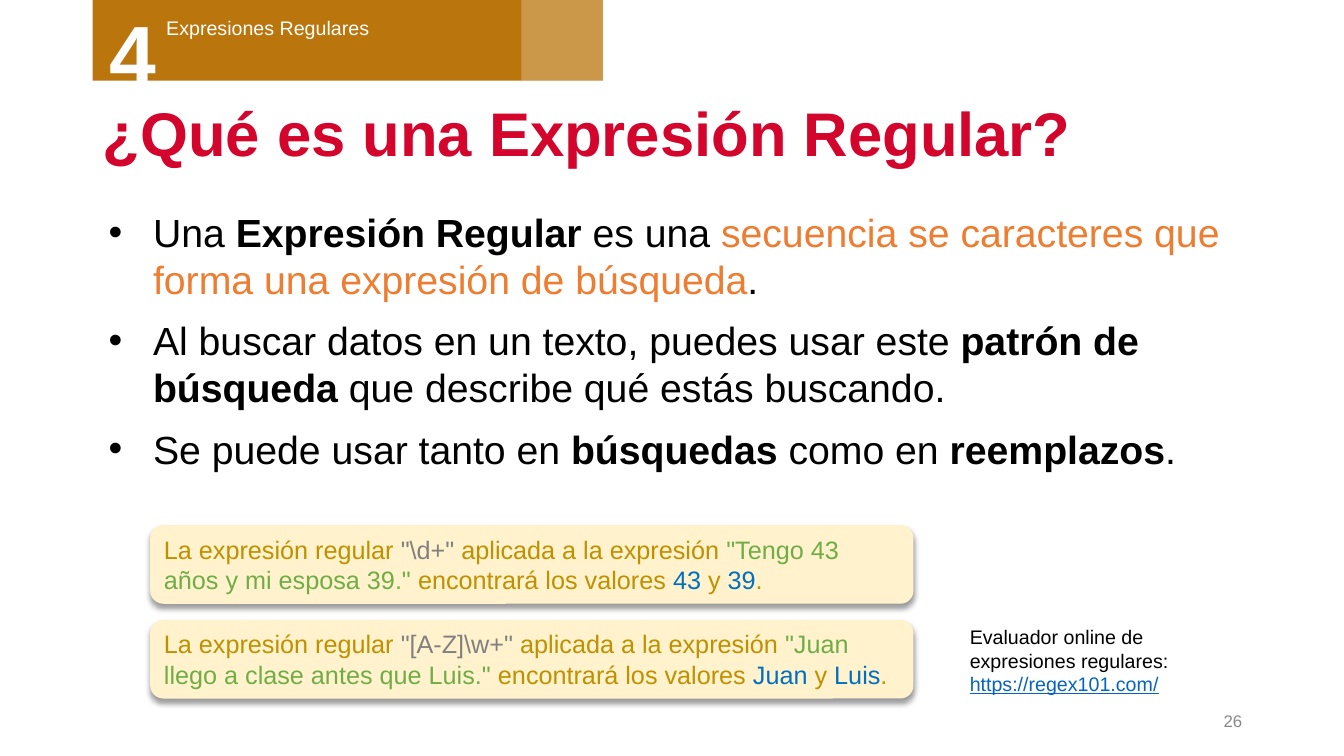
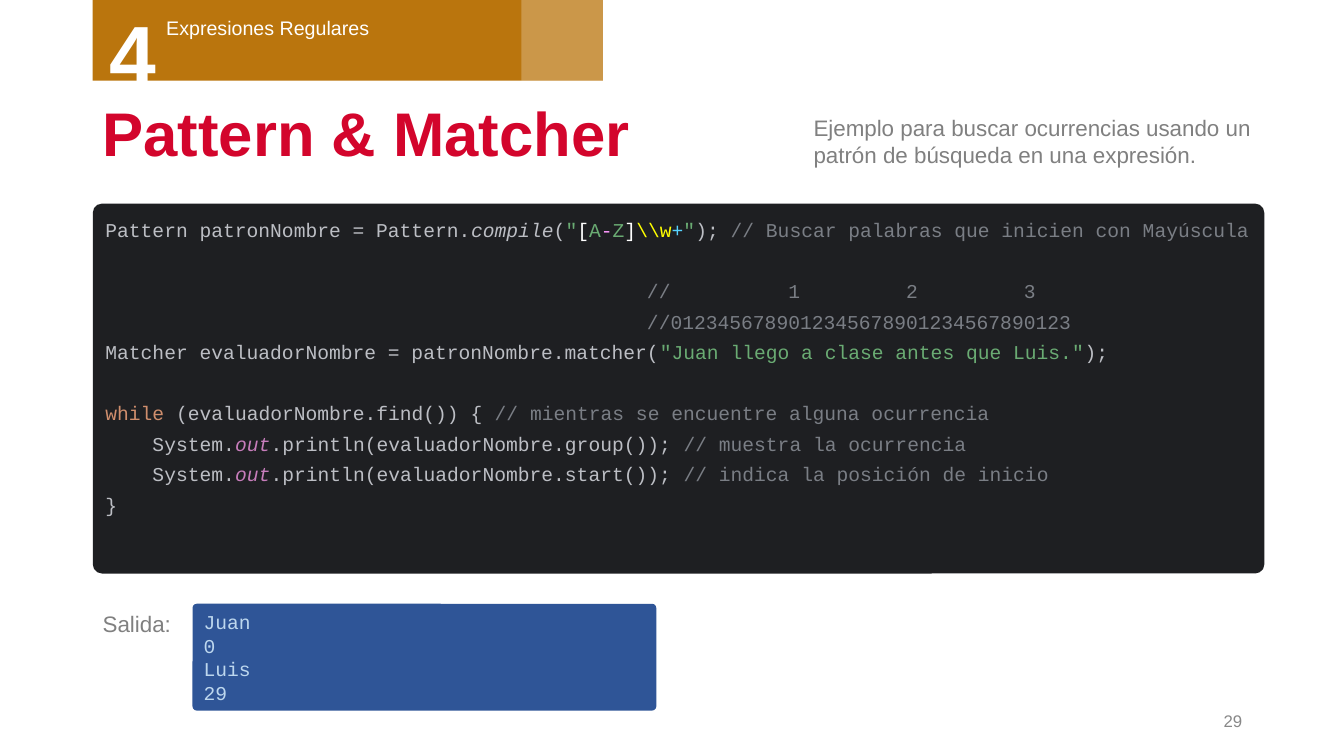
from lxml import etree
from pptx import Presentation
from pptx.dml.color import RGBColor
from pptx.enum.shapes import MSO_SHAPE
from pptx.enum.text import MSO_ANCHOR, PP_ALIGN
from pptx.oxml.ns import qn
from pptx.util import Emu, Pt

PX = 9144  # 100 px to the inch
SANS, MONO = "Arial", "Courier New"
COLORS = {
    "white": "FFFFFF", "black": "000000", "band": "BA750D", "title": "D3052C",
    "number": "888888", "gray": "808080", "orange": "ED7D31", "link": "0563C1",
    "cream": "FFF2CC", "gold": "BF9000", "green": "70AD47", "blue": "0070C0",
    "editor": "1E1F22", "code": "BCBEC4", "comment": "7A7E85", "string": "6AAB73",
    "keyword": "CF8E6D", "field": "C77DBB", "range": "FF99FF", "escape": "FFFF00",
    "quantifier": "57D3FF", "console": "2F5597", "output": "BDD7EE",
}


def add_shape(shapes, preset, area, fill, radius=None):
    shape = shapes.add_shape(preset, *[Emu(length * PX) for length in area])
    shape.shadow.inherit = False
    shape.fill.solid()
    shape.fill.fore_color.rgb = RGBColor.from_string(COLORS[fill])
    shape.line.fill.background()
    if radius is not None:
        shape.adjustments[0] = radius
    return shape


def add_text(target, lines, size, font=SANS, anchor=MSO_ANCHOR.TOP, align=PP_ALIGN.LEFT):
    """Each line is a list of spans: (text, color) or (text, color, style letters)."""
    frame = target.text_frame
    frame.word_wrap = True
    frame.vertical_anchor = anchor
    for index, line in enumerate(lines):
        para = frame.paragraphs[0] if index == 0 else frame.add_paragraph()
        para.alignment = align
        for text, color, *style in line:
            span = para.add_run()
            span.text = text
            span.font.size = Pt(size)
            span.font.name = font
            span.font.color.rgb = RGBColor.from_string(COLORS[color])
            span.font.bold = "b" in style
            span.font.italic = "i" in style
            span.font.underline = "u" in style
    return frame.paragraphs


deck = Presentation()
deck.slide_width, deck.slide_height = Emu(1333 * PX), Emu(750 * PX)

# Parts shared by both slides: section band, title, page number
pages = []
for title, number in [("¿Qué es una Expresión Regular?", "26"), ("Pattern & Matcher", "29")]:
    page = deck.slides.add_slide(deck.slide_layouts[6])
    pages.append(page)
    band = page.shapes.add_group_shape().shapes
    add_shape(band, MSO_SHAPE.RECTANGLE, (92, 0, 506, 80), "band")
    tint = add_shape(band, MSO_SHAPE.RECTANGLE, (517, 0, 81, 80), "white")
    color = tint.fill._xPr.find(qn("a:solidFill"))[0]
    etree.SubElement(color, qn("a:alpha"), val="25000")
    for shapes, area, text, size, color, style, anchor, align in [
        (band, (155, 11, 275, 34), "Expresiones Regulares", 14, "white", "", MSO_ANCHOR.TOP, PP_ALIGN.LEFT),
        (band, (99, -3, 112, 111), "4", 60, "white", "b", MSO_ANCHOR.TOP, PP_ALIGN.LEFT),
        (page.shapes, (92, 93, 1150, 86), title, 44, "title", "b", MSO_ANCHOR.MIDDLE, PP_ALIGN.LEFT),
        (page.shapes, (942, 695, 300, 40), number, 12, "number", "", MSO_ANCHOR.MIDDLE, PP_ALIGN.RIGHT),
    ]:
        box = shapes.add_textbox(*[Emu(length * PX) for length in area])
        paras = add_text(box, [[(text, color, style)]], size, anchor=anchor, align=align)
        if text == title:
            paras[0].line_spacing = 0.9

definition_page, example_page = pages

# Plain text boxes of each slide
for page, area, size, lines in [
    (definition_page, (952, 615, 280, 81), 14, [
        [("Evaluador online de expresiones regulares:", "black")],
        [("https://regex101.com/", "link", "u")],
    ]),
    (example_page, (797, 108, 479, 64), 16, [
        [("Ejemplo para buscar ocurrencias usando un patrón de búsqueda en una expresión.", "gray")],
    ]),
    (example_page, (92, 600, 99, 37), 16, [[("Salida:", "gray")]]),
]:
    box = page.shapes.add_textbox(*[Emu(length * PX) for length in area])
    add_text(box, lines, size)

# Definition bullets
bullets = [
    [("Una ", "black"), ("Expresión Regular", "black", "b"), (" es una ", "black"),
     ("secuencia se caracteres que forma una expresión de búsqueda", "orange"), (".", "black")],
    [("Al buscar datos en un texto, puedes usar este ", "black"),
     ("patrón de búsqueda", "black", "b"), (" que describe qué estás buscando.", "black")],
    [("Se puede usar tanto en ", "black"), ("búsquedas ", "black", "b"), ("como en ", "black"),
     ("reemplazos", "black", "b"), (".", "black")],
]
body = definition_page.shapes.add_textbox(*[Emu(length * PX) for length in (92, 202, 1150, 300)])
for index, para in enumerate(add_text(body, bullets, 28)):
    properties = para._p.get_or_add_pPr()
    properties.set("marL", str(50 * PX))
    properties.set("indent", str(-44 * PX))
    etree.SubElement(properties, qn("a:buFont"), typeface=SANS)
    etree.SubElement(properties, qn("a:buChar"), char="•")
    if index:
        para.space_before = Pt(10)

# Worked examples
examples = [
    (r'"\d+" ', '"Tengo 43 años y mi esposa 39." ', "43", "39"),
    (r'"[A-Z]\w+" ', '"Juan llego a clase antes que Luis." ', "Juan", "Luis"),
]
for index, (pattern, sentence, first, second) in enumerate(examples):
    card = add_shape(definition_page.shapes, MSO_SHAPE.ROUNDED_RECTANGLE,
                     (149, 521 + 94 * index, 757, 78), "cream")
    effects = card._element.spPr.find(qn("a:effectLst"))
    shadow = etree.SubElement(effects, qn("a:outerShdw"), blurRad=str(Pt(4)), dist=str(Pt(3)),
                              dir="5400000", algn="t", rotWithShape="0")
    shade = etree.SubElement(shadow, qn("a:srgbClr"), val=COLORS["black"])
    etree.SubElement(shade, qn("a:alpha"), val="40000")
    add_text(card, [[
        ("La expresión regular ", "gold"), (pattern, "gray"),
        ("aplicada a la expresión ", "gold"), (sentence, "green"),
        ("encontrará los valores ", "gold"), (first, "blue"), (" y ", "gold"),
        (second, "blue"), (".", "gold"),
    ]], 18)

# Code listing
ruler_indent = " " * 46
code_lines = [
    [("Pattern patronNombre = Pattern.", "code"), ("compile", "code", "i"), ("(", "code"),
     ('"', "string"), ("[", "white"), ("A", "string"), ("-", "range"), ("Z", "string"),
     ("]", "white"), (r"\\w", "escape"), ("+", "quantifier"), ('"', "string"), ("); ", "code"),
     ("// Buscar palabras que inicien con Mayúscula", "comment")],
    [],
    [(ruler_indent + "//          1         2         3", "comment")],
    [(ruler_indent + "//0123456789012345678901234567890123", "comment")],
    [("Matcher evaluadorNombre = patronNombre.matcher(", "code"),
     ('"Juan llego a clase antes que Luis."', "string"), (");", "code")],
    [],
    [("while ", "keyword"), ("(evaluadorNombre.find()) { ", "code"),
     ("// mientras se encuentre alguna ocurrencia", "comment")],
]
for method, remark in [("group", "muestra la ocurrencia"), ("start", "indica la posición de inicio")]:
    code_lines.append([("    System.", "code"), ("out", "field", "i"),
                       (f".println(evaluadorNombre.{method}()); ", "code"),
                       (f"// {remark}", "comment")])
code_lines.append([("}", "code")])
editor = add_shape(example_page.shapes, MSO_SHAPE.ROUNDED_RECTANGLE, (92, 202, 1162, 367), "editor", 0.025)
for para in add_text(editor, code_lines, 14, MONO):
    para.line_spacing = Pt(21.8)

# Program output
console = add_shape(example_page.shapes, MSO_SHAPE.ROUNDED_RECTANGLE, (191, 599, 460, 106), "console", 0.04)
add_text(console, [[(value, "output")] for value in ("Juan", "0", "Luis", "29")], 14, MONO)

deck.save("out.pptx")
